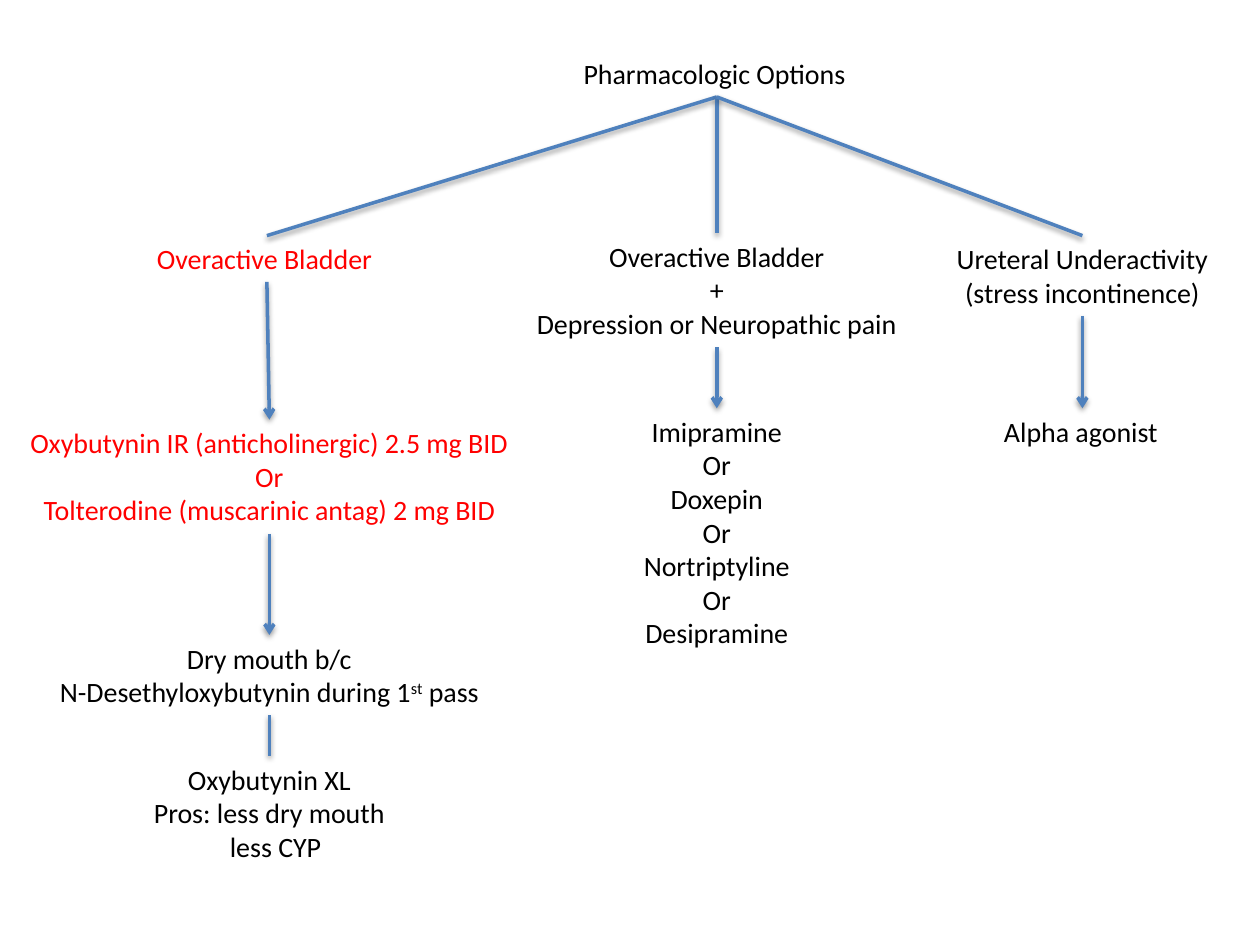
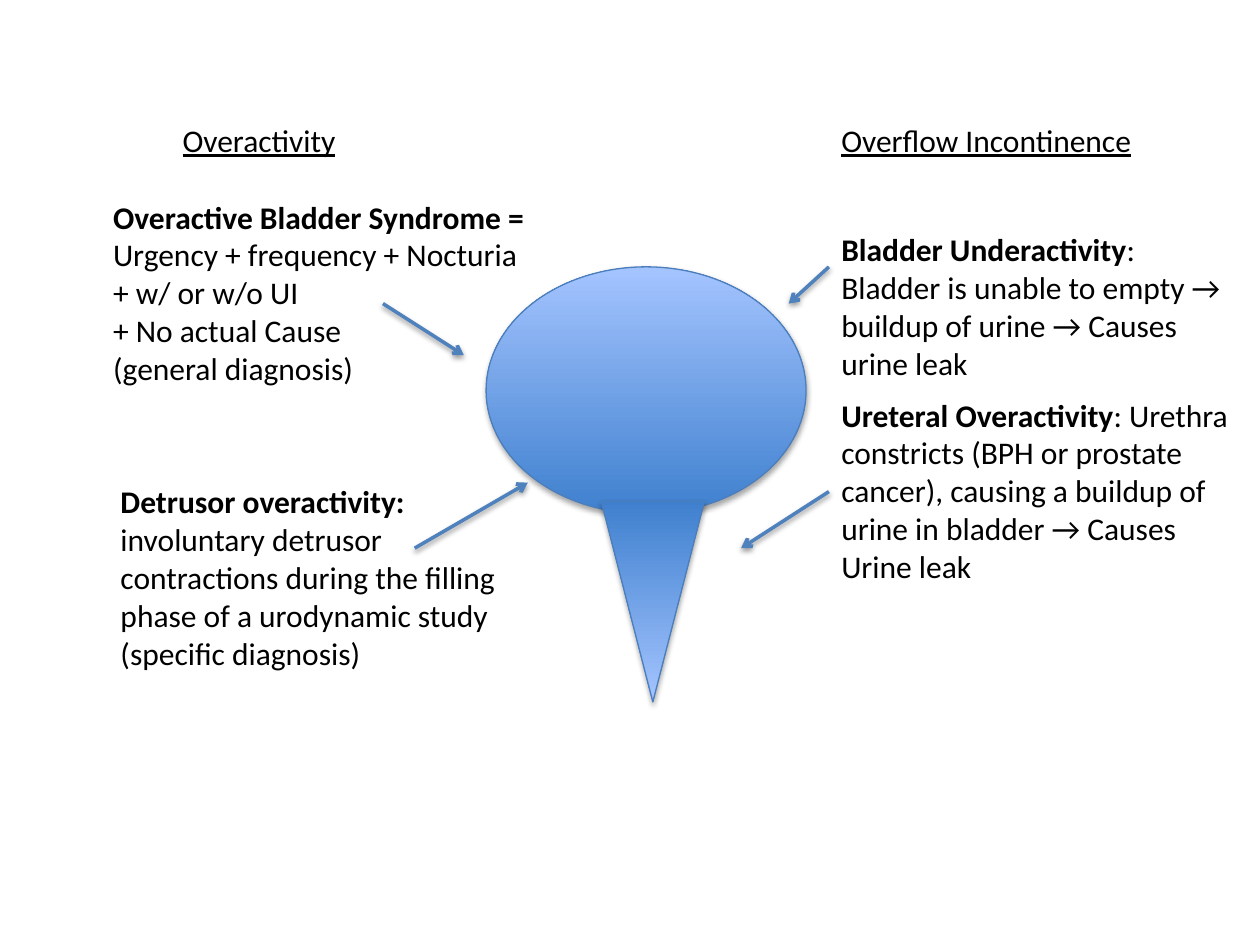
from dataclasses import dataclass
from typing import NamedTuple

from lxml.etree import SubElement as Sub
from pptx import Presentation
from pptx.dml.color import RGBColor as Rgb
from pptx.enum.shapes import MSO_CONNECTOR as Conn, MSO_SHAPE as Form
from pptx.enum.text import MSO_AUTO_SIZE as Fit, PP_ALIGN as Align
from pptx.oxml.ns import qn
from pptx.util import Cm, Pt

FONT = "Calibri"
HUES = {
    "ink": "000000",
    "alert": "FF0000",
    "link": "4F81BD",
    "edge": "4B7EBC",
    "deep": "3F80CE",
    "pale": "A4C4FF",
}


class Piece(NamedTuple):
    """A stretch of text in one style."""
    text: str
    bold: bool = False
    under: bool = False
    high: bool = False


class Line(NamedTuple):
    """A paragraph made of pieces, with an optional indent in cm."""
    bits: tuple[Piece, ...]
    indent: float = 0


@dataclass
class Block:
    """A text box, measured in cm, whose height follows its row count."""
    left: float
    top: float
    wide: float
    lines: list[Line]
    rows: int
    size: int = 16
    hue: str = "ink"
    center: bool = True
    wrap: bool = False

    @property
    def mid(self) -> float:
        """Give the centre of the box across."""
        return self.left + self.wide / 2

    @property
    def high(self) -> float:
        """Give the height of the box."""
        return 0.25 + 0.0428 * self.size * self.rows

    @property
    def base(self) -> float:
        """Give the lower edge of the box."""
        return self.top + self.high


@dataclass
class Link:
    """A straight line between two points in cm."""
    start: tuple[float, float]
    end: tuple[float, float]
    arrow: bool = True


def color(name: str) -> Rgb:
    """Look up a named colour."""
    return Rgb.from_string(HUES[name])


def plain(*texts: str) -> list[Line]:
    """Make one unstyled line of each text."""
    return [Line((Piece(text),)) for text in texts]


def node(mid: float, top: float, wide: float, lines: list[Line],
         hue: str = "ink", center: bool = True) -> Block:
    """Make a chart node centred on a column."""
    return Block(mid - wide / 2, top, wide, lines, len(lines),
                 hue=hue, center=center)


def join(top: Block, low: Block, arrow: bool = True) -> Link:
    """Link the foot of one node to the head of the next."""
    return Link((top.mid, top.base), (low.mid, low.top), arrow)


def shade(shape, dist: float, alpha: int) -> None:
    """Add a soft shadow that falls straight down."""
    fx = Sub(shape.element.spPr, qn("a:effectLst"))
    cast = Sub(fx, qn("a:outerShdw"), blurRad=str(Pt(3.1)),
               dist=str(Pt(dist)), dir="5400000", rotWithShape="0")
    tint = Sub(cast, qn("a:srgbClr"), val=HUES["ink"])
    Sub(tint, qn("a:alpha"), val=str(alpha * 1000))


def write(slide, block: Block) -> None:
    """Draw a text block."""
    box = slide.shapes.add_textbox(Cm(block.left), Cm(block.top),
                                   Cm(block.wide), Cm(block.high))
    frame = box.text_frame
    frame.word_wrap = block.wrap
    frame.auto_size = Fit.SHAPE_TO_FIT_TEXT
    for i, line in enumerate(block.lines):
        para = frame.add_paragraph() if i else frame.paragraphs[0]
        para.alignment = Align.CENTER if block.center else Align.LEFT
        if line.indent:
            para._p.get_or_add_pPr().set("marL", str(Cm(line.indent)))
        for bit in line.bits:
            run = para.add_run()
            run.text = bit.text
            font = run.font
            font.name, font.size = FONT, Pt(block.size)
            font.color.rgb = color(block.hue)
            font.bold, font.underline = bit.bold, bit.under
            if bit.high:
                run._r.get_or_add_rPr().set("baseline", "30000")


def draw(slide, link: Link) -> None:
    """Draw a link, with an arrowhead if it has one."""
    ends = [Cm(n) for n in (*link.start, *link.end)]
    line = slide.shapes.add_connector(Conn.STRAIGHT, *ends)
    line.line.color.rgb = color("link")
    line.line.width = Pt(2)
    if link.arrow:
        Sub(line.line._get_or_add_ln(), qn("a:tailEnd"), type="arrow")
    shade(line, 1.6, 38)


def organ(slide, form: Form, left: float, top: float,
          wide: float, high: float, turn: int = 0) -> None:
    """Draw a shaded section of the bladder."""
    shape = slide.shapes.add_shape(form, Cm(left), Cm(top), Cm(wide), Cm(high))
    shape.rotation = turn
    shape.fill.gradient()
    shape.fill.gradient_angle = 90
    for stop, name in zip(shape.fill.gradient_stops, ("deep", "pale")):
        stop.color.rgb = color(name)
    shape.line.color.rgb = color("edge")
    shape.line.width = Pt(0.75)
    shade(shape, 1.8, 35)


def options(slide) -> None:
    """Build the tree of drug options."""
    left, mid, right = 5.43, 14.45, 21.82
    root = node(mid, 1.02, 5.87, plain("Pharmacologic Options"), center=False)
    over = node(5.38, 4.75, 4.93, plain("Overactive Bladder"), "alert", False)
    first = node(left, 8.46, 10.29, plain(
        "Oxybutynin IR (anticholinergic) 2.5 mg BID", "Or",
        "Tolterodine (muscarinic antag) 2 mg BID"), "alert")
    dry = node(left, 12.8, 9.12, plain("Dry mouth b/c") + [Line((
        Piece("N-Desethyloxybutynin during 1"), Piece("st", high=True),
        Piece(" pass")))])
    slow = node(left, 15.24, 5.23, plain(
        "Oxybutynin XL", "Pros: less dry mouth")
        + [Line((Piece("less CYP"),), 0.25)])
    pain = node(mid, 4.7, 7.87, plain(
        "Overactive Bladder", "+", "Depression or Neuropathic pain"))
    drugs = node(mid, 8.23, 3.51, plain(
        "Imipramine", "Or", "Doxepin", "Or", "Nortriptyline", "Or",
        "Desipramine"))
    under = node(right, 4.75, 5.69, plain(
        "Ureteral Underactivity", "(stress incontinence)"))
    alpha = node(right, 8.23, 3.66, plain("Alpha agonist"), center=False)

    for block in (root, over, first, dry, slow, pain, drugs, under, alpha):
        write(slide, block)
    for head in (over, pain, under):
        draw(slide, join(root, head, False))
    for top, low in ((over, first), (first, dry), (pain, drugs),
                     (under, alpha)):
        draw(slide, join(top, low))
    draw(slide, join(dry, slow, False))


def causes(slide) -> None:
    """Build the bladder with the causes around it."""
    organ(slide, Form.OVAL, 9.8, 5.38, 6.45, 4.98)
    organ(slide, Form.ISOSCELES_TRIANGLE, 12.12, 10.11, 2.08, 4.04, 180)

    side = 16.71
    for left, wide, text in ((3.43, 3.66, "Overactivity"),
                             (side, 6.43, "Overflow Incontinence")):
        head = [Line((Piece(text, under=True),))]
        write(slide, Block(left, 2.31, wide, head, 1, 18, center=False))

    notes = (
        (2.03, 3.86, 8.94, 5, "Overactive Bladder Syndrome =", "",
         ("Urgency + frequency + Nocturia", "+ w/ or w/o UI",
          "+ No actual Cause", "(general diagnosis)")),
        (2.18, 9.6, 8.76, 5, "Detrusor overactivity: ",
         "involuntary detrusor contractions during the filling phase of a "
         "urodynamic study", ("(specific diagnosis)",)),
        (side, 4.52, 8.43, 4, "Bladder Underactivity",
         ": Bladder is unable to empty → buildup of urine → Causes "
         "urine leak", ()),
        (side, 7.85, 8.81, 5, "Ureteral Overactivity",
         ": Urethra constricts (BPH or prostate cancer), causing a buildup "
         "of urine in bladder → Causes Urine leak", ()),
    )
    for left, top, wide, rows, lead, body, more in notes:
        bits = (Piece(lead, bold=True),) + ((Piece(body),) if body else ())
        lines = [Line(bits)] + plain(*more)
        write(slide, Block(left, top, wide, lines, rows, 18,
                           center=False, wrap=True))

    for link in (Link((side, 9.91), (14.94, 11.05)),
                 Link((8.36, 11.05), (10.64, 9.73)),
                 Link((7.72, 6.12), (9.35, 7.16)),
                 Link((side, 5.38), (15.9, 6.12))):
        draw(slide, link)


def main() -> None:
    """Build and save the deck."""
    deck = Presentation()
    deck.slide_width, deck.slide_height = Cm(25.4), Cm(19.05)
    for build in (options, causes):
        build(deck.slides.add_slide(deck.slide_layouts[6]))
    deck.save("out.pptx")


main()
